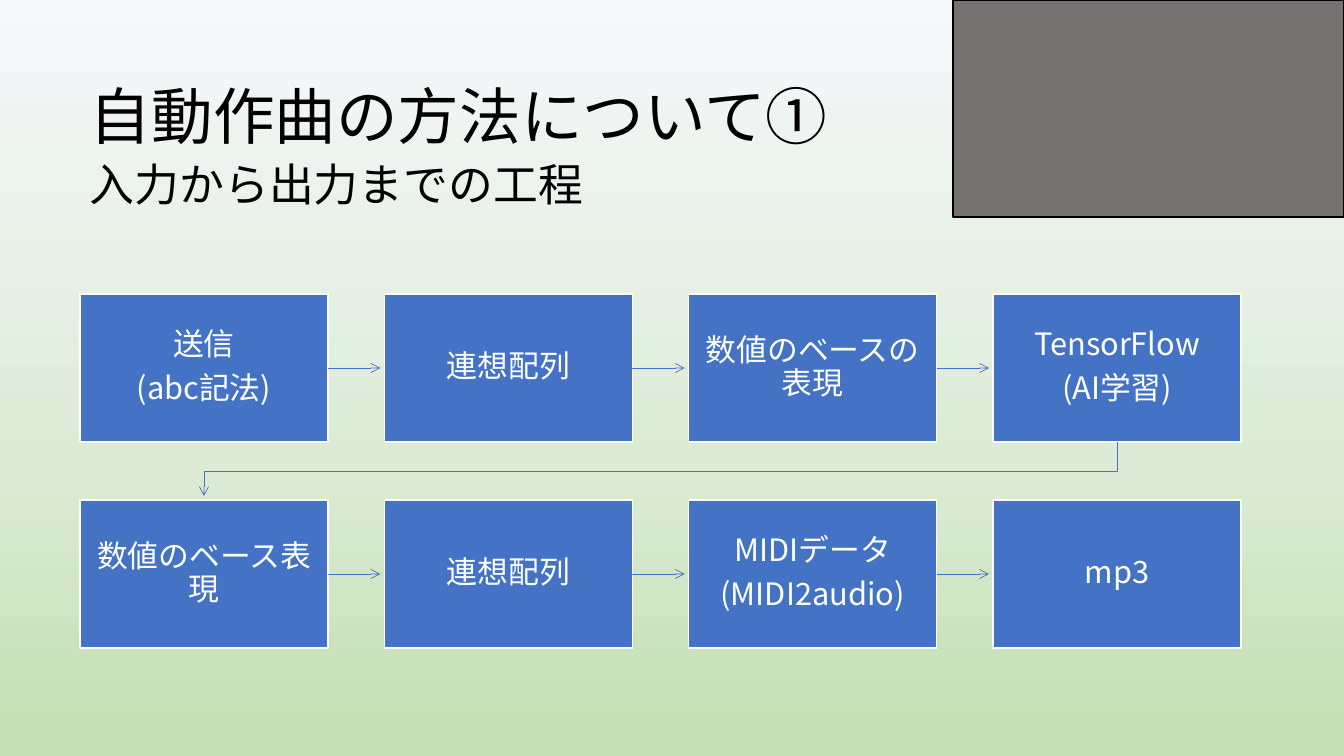
from copy import deepcopy

from lxml.etree import SubElement
from pptx import Presentation
from pptx.dml.color import RGBColor
from pptx.enum.shapes import MSO_CONNECTOR, MSO_SHAPE
from pptx.enum.text import MSO_ANCHOR, PP_ALIGN
from pptx.oxml.ns import qn
from pptx.util import Emu, Pt

PX_PER_INCH = 100.8
FONT = "Noto Sans CJK JP"
BLACK = RGBColor(0x00, 0x00, 0x00)
WHITE = RGBColor(0xFF, 0xFF, 0xFF)
BLUE = RGBColor(0x44, 0x72, 0xC4)
GRAY = RGBColor(0x76, 0x71, 0x71)
BACKGROUND = [
    (0, RGBColor(0xF6, 0xF8, 0xFC)),
    (0.61, RGBColor(0xDC, 0xEB, 0xD6)),
    (0.96, RGBColor(0xC5, 0xE0, 0xB4)),
]
STEPS = [
    ["送信\n(abc記法)", "連想配列", "数値のベースの表現", "TensorFlow\n(AI学習)"],
    ["数値のベース表現", "連想配列", "MIDIデータ\n(MIDI2audio)", "mp3"],
]
BOX_W, BOX_H = 248, 148
ARROW_GAP = 4
INSET = 17


def px(n):
    return Emu(round(n * 914400 / PX_PER_INCH))


def paint_background(slide):
    fill = slide.background.fill
    fill.gradient()
    fill.gradient_angle = 270
    stop_list = next(slide.element.iter(qn("a:gsLst")))
    stop_list.append(deepcopy(stop_list[-1]))
    for stop, (position, color) in zip(fill.gradient_stops, BACKGROUND):
        stop.position = position
        stop.color.rgb = color


def write(tf, text, size, color, align=PP_ALIGN.LEFT, before=0, after=0):
    tf.word_wrap = True
    tf.text = text
    for p in tf.paragraphs:
        p.alignment = align
        p.line_spacing = 0.9
        p.space_before, p.space_after = Pt(before), Pt(after)
        for r in p.runs:
            r.font.size = Pt(size)
            r.font.color.rgb = color
            r.font.name = FONT
            SubElement(r.font._element, qn("a:ea"), typeface=FONT)


def add_rect(slide, x, y, w, h, fill, line):
    sp = slide.shapes.add_shape(MSO_SHAPE.RECTANGLE, px(x), px(y), px(w), px(h))
    sp.shadow.inherit = False
    sp.fill.solid()
    sp.fill.fore_color.rgb = fill
    sp.line.color.rgb = line
    sp.line.width = Pt(1)
    return sp


def style_arrow(sp):
    sp.line.color.rgb = BLUE
    sp.line.width = Pt(0.5)
    SubElement(sp.line._get_or_add_ln(), qn("a:tailEnd"), type="arrow")


def add_arrow(slide, x1, x2, y):
    sp = slide.shapes.add_connector(
        MSO_CONNECTOR.STRAIGHT, px(x1), px(y), px(x2), px(y))
    style_arrow(sp)
    SubElement(sp._element.spPr, qn("a:effectLst"))


def add_row_turn(slide, x1, y1, x2, y2):
    """Lead from the end of one row to the start of the next."""
    middle = (y1 + y2) / 2
    points = [(x1, middle), (x2, middle), (x2, y2 - ARROW_GAP)]
    outline = slide.shapes.build_freeform(px(x1), px(y1))
    outline.add_line_segments([(px(x), px(y)) for x, y in points], close=False)
    sp = outline.convert_to_shape()
    sp.shadow.inherit = False
    sp.fill.background()
    style_arrow(sp)


def add_step(slide, x, y, text):
    sp = add_rect(slide, x, y, BOX_W, BOX_H, BLUE, WHITE)
    tf = sp.text_frame
    tf.margin_left = tf.margin_right = px(INSET)
    tf.margin_top = tf.margin_bottom = px(INSET)
    tf.vertical_anchor = MSO_ANCHOR.MIDDLE
    write(tf, text, 22, WHITE, PP_ALIGN.CENTER, after=7.7)


def add_process(slide, x, y, w, h):
    pitch_x = (w - BOX_W) / (len(STEPS[0]) - 1)
    pitch_y = (h - BOX_H) / (len(STEPS) - 1)
    for row, texts in enumerate(STEPS):
        top = y + row * pitch_y
        for col, text in enumerate(texts):
            left = x + col * pitch_x
            add_step(slide, left, top, text)
            if col < len(texts) - 1:
                add_arrow(slide, left + BOX_W, left + pitch_x - ARROW_GAP,
                          top + BOX_H / 2)
        if row < len(STEPS) - 1:
            add_row_turn(slide, x + w - BOX_W / 2, top + BOX_H,
                         x + BOX_W / 2, top + pitch_y)


def add_heading(slide, x, y, w, h):
    title_h = 84
    title = slide.shapes.add_textbox(px(x), px(y), px(w), px(title_h))
    title.text_frame.vertical_anchor = MSO_ANCHOR.BOTTOM
    write(title.text_frame, "自動作曲の方法について①", 44, BLACK)
    subtitle = slide.shapes.add_textbox(
        px(x), px(y + title_h), px(w), px(h - title_h))
    write(subtitle.text_frame, "入力から出力までの工程", 32, BLACK, before=10)


def main():
    prs = Presentation()
    prs.slide_width, prs.slide_height = px(1344), px(756)
    slide = prs.slides.add_slide(prs.slide_layouts[6])
    paint_background(slide)
    add_heading(slide, 80, 74, 902, 147)
    add_rect(slide, 953, 0, 391, 217, GRAY, BLACK)
    add_process(slide, 80, 294, 1161, 354)
    prs.save("out.pptx")


if __name__ == "__main__":
    main()
